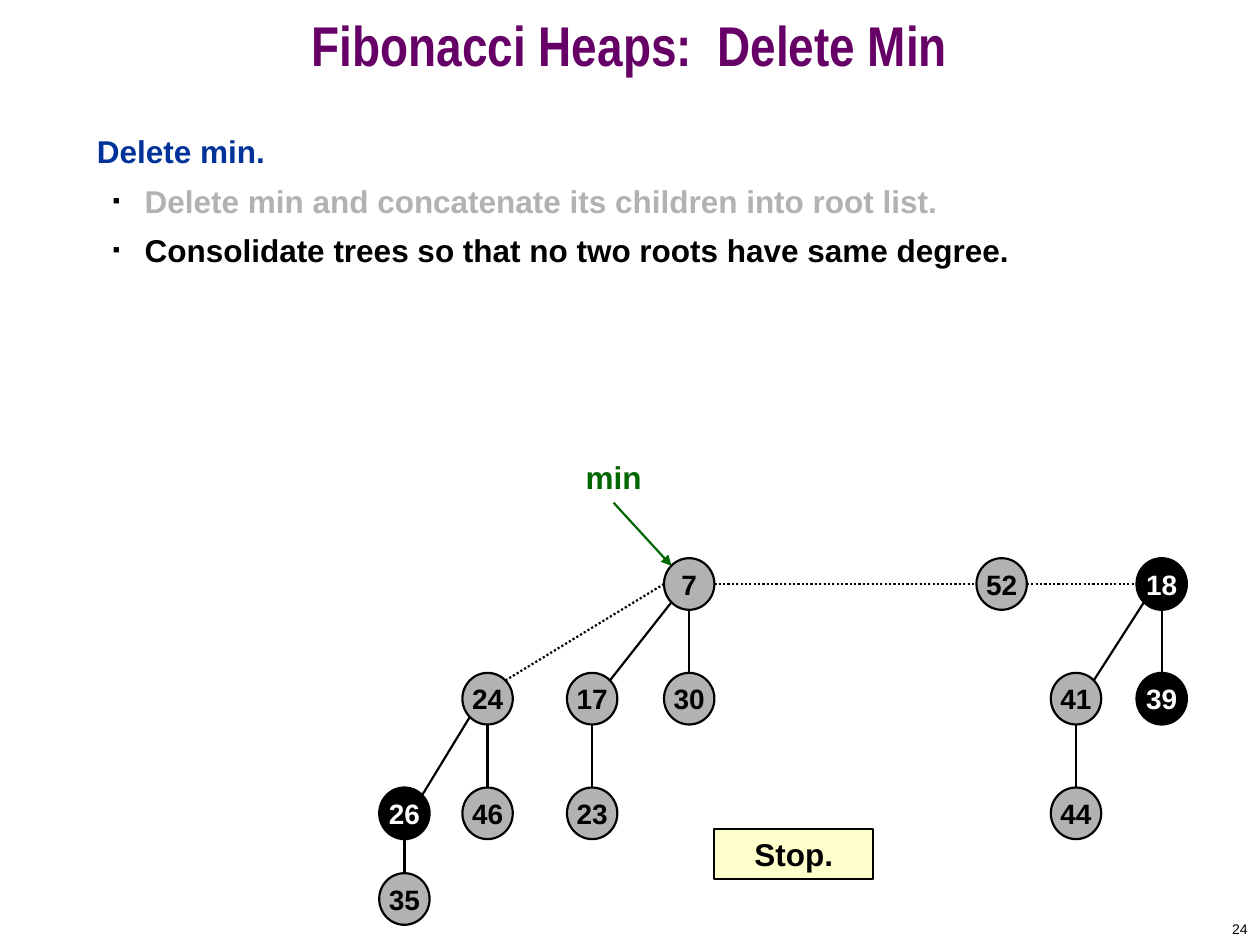
import lxml.etree
import pptx
import pptx.dml.color
import pptx.enum.dml
import pptx.enum.shapes
import pptx.enum.text
import pptx.oxml
import pptx.oxml.ns
import pptx.util

PX = 9144  # 100 px to the inch
RGB = pptx.dml.color.RGBColor
BLACK = RGB(0x00, 0x00, 0x00)
INK = RGB(0x01, 0x00, 0x00)
WHITE = RGB(0xFF, 0xFF, 0xFF)
GRAY = RGB(0xB2, 0xB2, 0xB2)
PURPLE = RGB(0x66, 0x00, 0x66)
BLUE = RGB(0x00, 0x33, 0x99)
GREEN = RGB(0x00, 0x66, 0x00)
CREAM = RGB(0xFF, 0xFF, 0xCC)

ALIGN = pptx.enum.text.PP_ALIGN
ANCHOR = pptx.enum.text.MSO_ANCHOR
SHAPE = pptx.enum.shapes.MSO_SHAPE
LINE_WIDTH = pptx.util.Pt(1.25)
NODE_W, NODE_H = 40, 41

deck = pptx.Presentation()
deck.slide_width, deck.slide_height = 1000 * PX, 750 * PX
page = deck.slides.add_slide(deck.slide_layouts[6])


def write(para, text, size, color, align=ALIGN.CENTER, name="Arial", bold=True):
    para.alignment = align
    span = para.add_run()
    span.text = text
    font_format = {"name": name, "size": pptx.util.Pt(size), "bold": bold}
    for key, value in font_format.items():
        setattr(span.font, key, value)
    span.font.color.rgb = color


def connect(start, end, color=BLACK, dotted=False):
    """Draw a straight line between two px points and return it."""
    line = page.shapes.add_connector(
        pptx.enum.shapes.MSO_CONNECTOR.STRAIGHT, *(round(v * PX) for v in (*start, *end)))
    line.line.color.rgb = color
    line.line.width = LINE_WIDTH
    if dotted:
        line.line.dash_style = pptx.enum.dml.MSO_LINE.ROUND_DOT
    lxml.etree.SubElement(line._element.spPr, pptx.oxml.ns.qn("a:effectLst"))
    return line


# Title, page number and min label: (place, text, size, color, align, font, bold)
labels = [
    ((0, 0, 1000, 83), "Fibonacci Heaps:  Delete Min", 32, PURPLE, ALIGN.CENTER, "Arial Narrow", True),
    ((792, 725, 208, 25), "24", 8, BLACK, ALIGN.RIGHT, "Arial", False),
    ((437, 358, 100, 41), "min", 18, GREEN, ALIGN.CENTER, "Arial", True),
]
for place, text, size, color, align, name, bold in labels:
    box = page.shapes.add_textbox(*(v * PX for v in place))
    box.text_frame.word_wrap = True
    box.text_frame.vertical_anchor = ANCHOR.MIDDLE
    para = box.text_frame.paragraphs[0]
    write(para, text, size, color, align, name, bold)
    if name == "Arial Narrow":
        para.line_spacing = 0.7

# Steps of the operation
steps = page.shapes.add_textbox(67 * PX, 100 * PX, 858 * PX, 592 * PX)
steps.text_frame.word_wrap = True
heading = steps.text_frame.paragraphs[0]
heading.space_before = pptx.util.Pt(4.5)
write(heading, "Delete min.", 18, BLUE, ALIGN.LEFT)
for text, color in [
    ("Delete min and concatenate its children into root list.", GRAY),
    ("Consolidate trees so that no two roots have same degree.", BLACK),
]:
    para = steps.text_frame.add_paragraph()
    para.space_before = pptx.util.Pt(4.5)
    para.line_spacing = 1.1
    write(para, text, 18, color, ALIGN.LEFT)
    properties = para._p.get_or_add_pPr()
    properties.set("marL", str(38 * PX))
    properties.set("indent", str(-25 * PX))
    for bullet in (
        '<a:buClr {}><a:srgbClr val="000000"/></a:buClr>',
        '<a:buSzPct {} val="35000"/>',
        '<a:buFont {} typeface="Arial"/>',
        '<a:buChar {} char="■"/>',
    ):
        properties.append(pptx.oxml.parse_xml(bullet.format(pptx.oxml.ns.nsdecls("a"))))

# Heap nodes: key -> left, top
ROOTS, LEVEL_1, LEVEL_2, LEVEL_3 = 443, 534, 625, 693
nodes = {
    7: (527, ROOTS), 52: (775, ROOTS), 18: (902, ROOTS),
    24: (367, LEVEL_1), 17: (450, LEVEL_1), 30: (527, LEVEL_1),
    41: (834, LEVEL_1), 39: (902, LEVEL_1),
    26: (301, LEVEL_2), 46: (367, LEVEL_2), 23: (450, LEVEL_2), 44: (834, LEVEL_2),
    35: (301, LEVEL_3),
}
marked = {18, 39, 26}

# Points on a node's rim, as shares of its width and height
rim = {
    "top": (0.5, 0), "bottom": (0.5, 1), "left": (0, 0.5), "right": (1, 0.5),
    "top left": (0.15, 0.15), "top right": (0.85, 0.15), "bottom left": (0.15, 0.85),
}
points = {
    (key, side): (left + NODE_W * across, top + NODE_H * down)
    for key, (left, top) in nodes.items()
    for side, (across, down) in rim.items()
}

for parent, child in [(7, 30), (18, 39), (24, 46), (17, 23), (41, 44), (26, 35)]:
    connect(points[parent, "bottom"], points[child, "top"])
for parent, child in [(7, 17), (18, 41), (24, 26)]:
    connect(points[parent, "bottom left"], points[child, "top right"])
connect(points[7, "left"], points[24, "top right"], dotted=True)
for root, neighbor in [(7, 52), (52, 18)]:
    connect(points[root, "right"], points[neighbor, "left"], dotted=True)

pointer = connect((487, 399), points[7, "top left"], GREEN)
pointer.line._get_or_add_ln().append(pptx.oxml.parse_xml(
    '<a:tailEnd {} type="triangle"/>'.format(pptx.oxml.ns.nsdecls("a"))))

# Nodes and the closing note: (preset, place, text, size, fill, text color)
figures = [
    (SHAPE.OVAL, (left, top, NODE_W, NODE_H), str(key), 16,
     INK if key in marked else GRAY, WHITE if key in marked else BLACK)
    for key, (left, top) in nodes.items()
]
figures.append((SHAPE.RECTANGLE, (567, 658, 126, 40), "Stop.", 18, CREAM, BLACK))
for preset, place, text, size, fill, color in figures:
    shape = page.shapes.add_shape(preset, *(v * PX for v in place))
    shape.shadow.inherit = False
    shape.fill.solid()
    shape.fill.fore_color.rgb = fill
    shape.line.color.rgb = BLACK
    shape.line.width = LINE_WIDTH
    shape.text_frame.word_wrap = preset == SHAPE.RECTANGLE
    shape.text_frame.vertical_anchor = ANCHOR.MIDDLE
    write(shape.text_frame.paragraphs[0], text, size, color)

deck.save("out.pptx")
